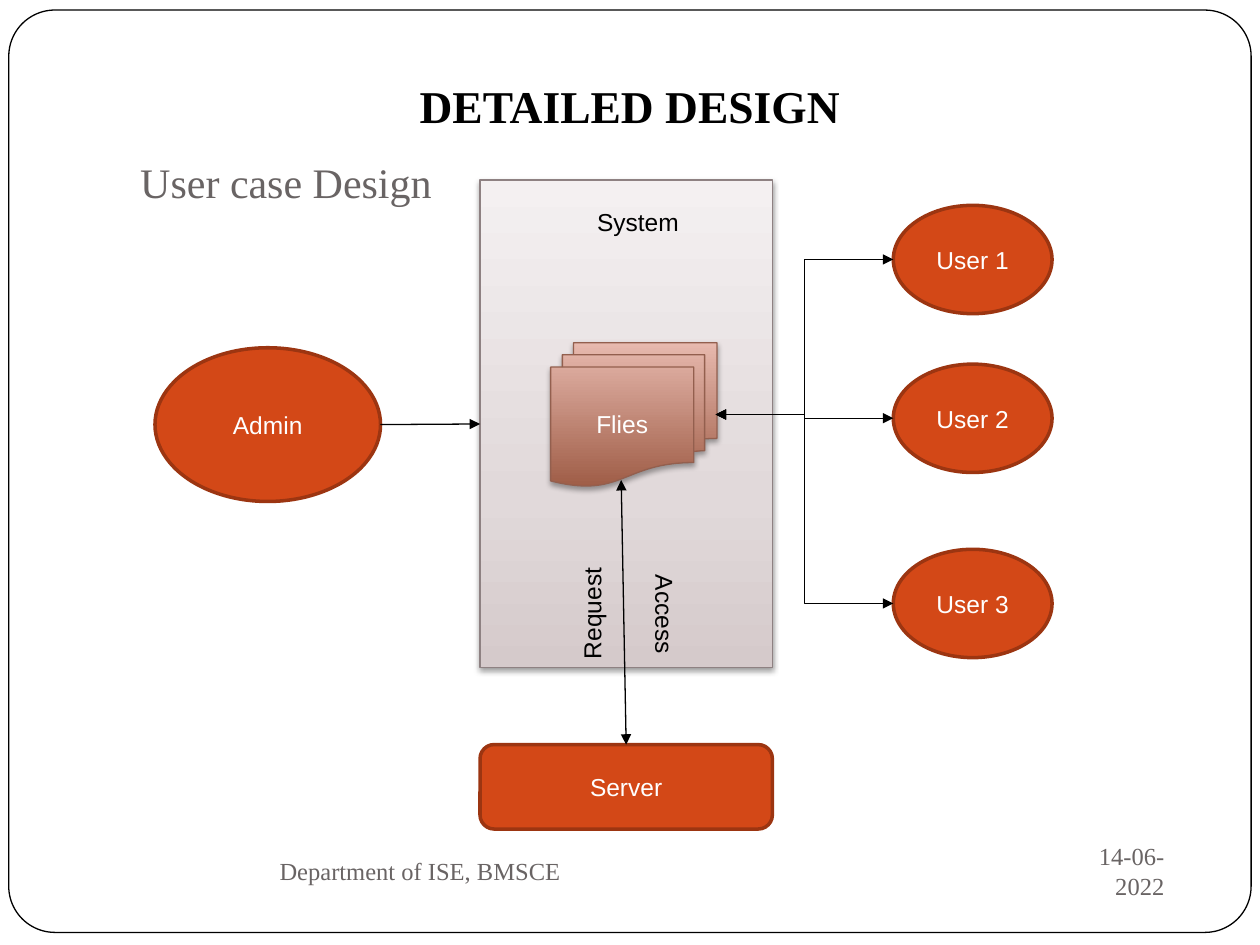
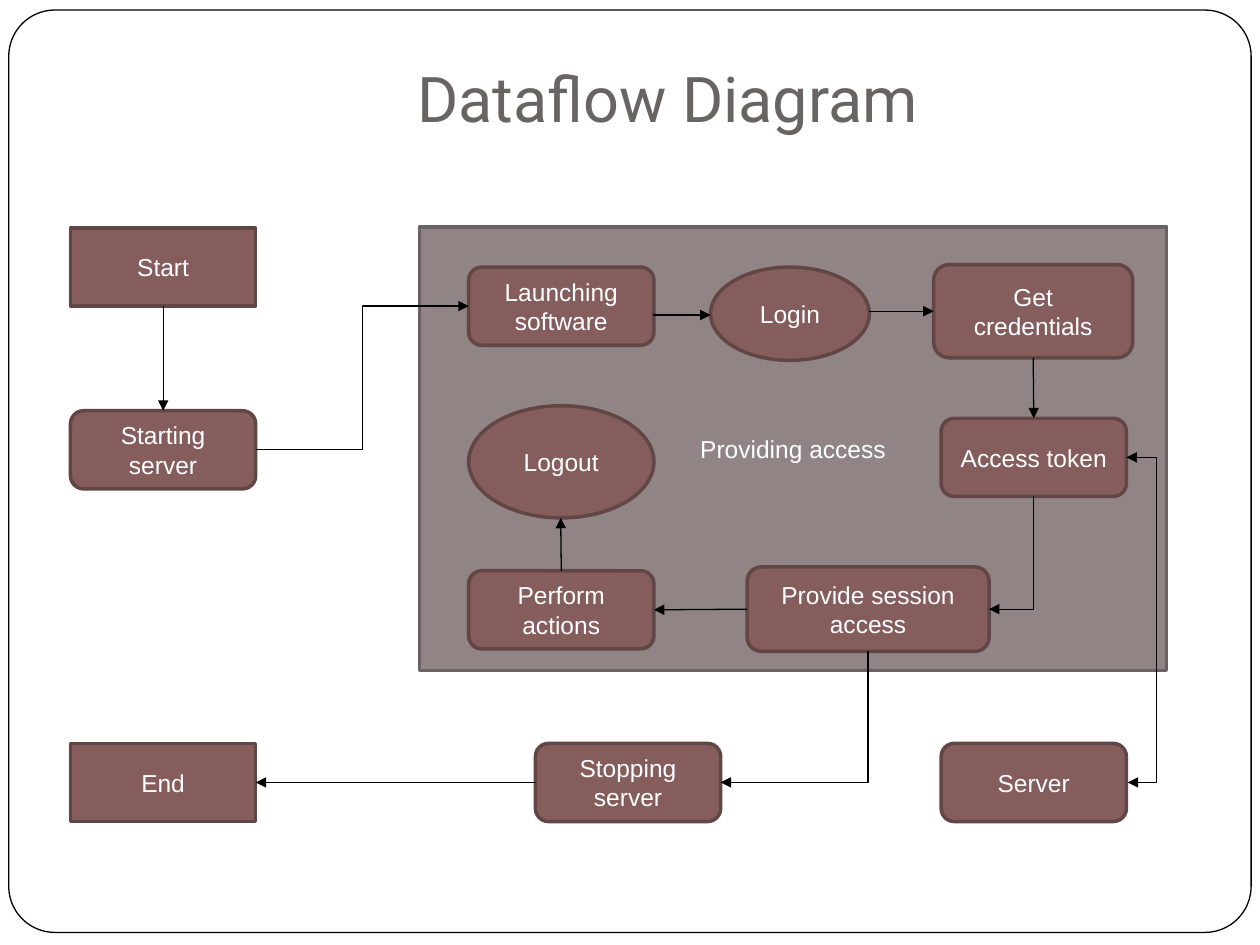
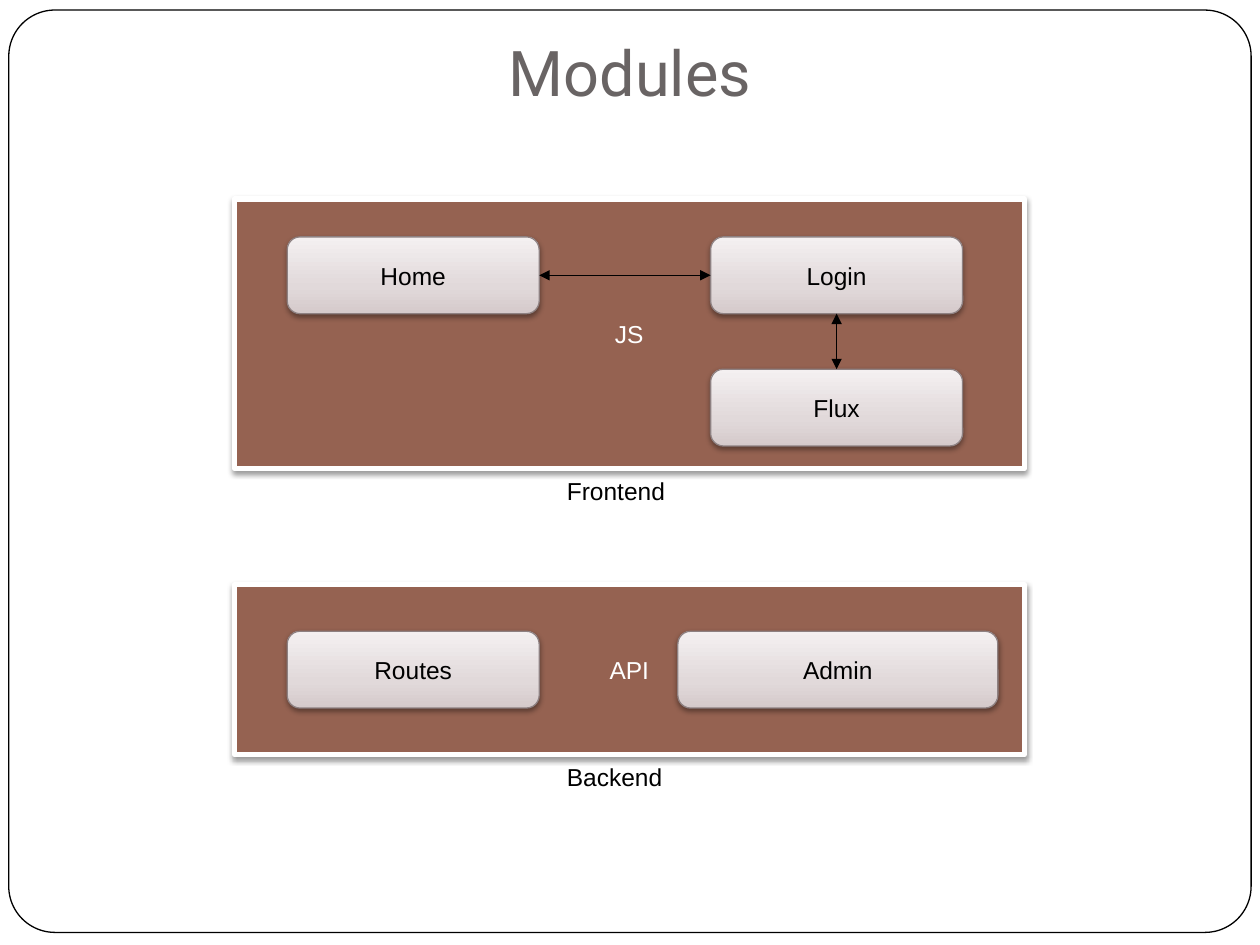
from copy import deepcopy
from pptx import Presentation
from pptx.dml.color import RGBColor
from pptx.enum.shapes import MSO_CONNECTOR, MSO_SHAPE
from pptx.enum.text import MSO_ANCHOR, PP_ALIGN
from pptx.oxml import parse_xml
from pptx.oxml.ns import nsdecls, qn
from pptx.util import Inches, Pt

RECTANGLE = MSO_SHAPE.RECTANGLE
ROUNDED = MSO_SHAPE.ROUNDED_RECTANGLE
ELLIPSE = MSO_SHAPE.OVAL
DOCUMENTS = MSO_SHAPE.FLOWCHART_MULTIDOCUMENT
STRAIGHT = MSO_CONNECTOR.STRAIGHT
ELBOW = MSO_CONNECTOR.ELBOW
LEFT, CENTER, RIGHT = PP_ALIGN.LEFT, PP_ALIGN.CENTER, PP_ALIGN.RIGHT
TOP_ANCHOR, MIDDLE_ANCHOR = MSO_ANCHOR.TOP, MSO_ANCHOR.MIDDLE
TOP_SIDE, LEFT_SIDE, BOTTOM_SIDE, RIGHT_SIDE = range(4)

BLACK = RGBColor(0x00, 0x00, 0x00)
WHITE = RGBColor(0xFF, 0xFF, 0xFF)
GRAY = RGBColor(0x69, 0x64, 0x64)
ORANGE = RGBColor(0xD3, 0x48, 0x17)
DARK_ORANGE = RGBColor(0x9C, 0x35, 0x11)
MAUVE = RGBColor(0x85, 0x5D, 0x5D)
DARK_MAUVE = RGBColor(0x62, 0x45, 0x45)
PANEL = RGBColor(0x91, 0x84, 0x85)
PANEL_EDGE = RGBColor(0x6B, 0x62, 0x62)
BROWN = RGBColor(0x95, 0x62, 0x51)
PALE_EDGE = RGBColor(0x8E, 0x81, 0x82)
FILES_EDGE = RGBColor(0x93, 0x5F, 0x4E)
PALE_GRADIENT = [(0, RGBColor(0xD5, 0xCA, 0xCB)), (0.35, RGBColor(0xE1, 0xD9, 0xDA)),
                 (1, RGBColor(0xF4, 0xF0, 0xF1))]
FILES_GRADIENT = [(0, RGBColor(0x9F, 0x5D, 0x47)), (1, RGBColor(0xE7, 0xB9, 0xAE))]

SANS, SERIF, DISPLAY = "Arial", "Times New Roman", "Roboto"

presentation = Presentation()
presentation.slide_width = Inches(10)
presentation.slide_height = Inches(7.5)
COLUMN = presentation.slide_width / 10
ROW = presentation.slide_height / 7.5


def add_box(slide, text, left, top, width, height, *, kind=None, fill=None, line=None,
            line_width=2, shadow=None, size=14, font=SANS, color=WHITE, bold=False,
            align=CENTER, anchor=MIDDLE_ANCHOR, inset=0.05, rotation=0):
    frame = (round(left * COLUMN), round(top * ROW), round(width * COLUMN), round(height * ROW))
    if kind is None:
        shape = slide.shapes.add_textbox(*frame)
    else:
        shape = slide.shapes.add_shape(kind, *frame)
        shape.shadow.inherit = False
        shape.line.color.rgb = line
        shape.line.width = Pt(line_width)
        if isinstance(fill, list):
            shape.fill.gradient()
            shape.fill.gradient_angle = 90
            stop_list = shape.element.spPr.find(".//" + qn("a:gsLst"))
            while len(stop_list) < len(fill):
                stop_list.append(deepcopy(stop_list[-1]))
            for stop, (position, stop_color) in zip(shape.fill.gradient_stops, fill):
                stop.position = position
                stop.color.rgb = stop_color
        else:
            shape.fill.solid()
            shape.fill.fore_color.rgb = fill
    if shadow:
        distance, opacity = shadow
        shape.element.spPr.find(qn("a:effectLst")).append(parse_xml(
            f'<a:outerShdw {nsdecls("a")} blurRad="40000" dist="{distance}" dir="5400000" '
            f'rotWithShape="0"><a:srgbClr val="{BLACK}"><a:alpha val="{opacity * 1000}"/>'
            '</a:srgbClr></a:outerShdw>'))
    shape.rotation = rotation
    if text:
        text_frame = shape.text_frame
        text_frame.word_wrap = True
        text_frame.vertical_anchor = anchor
        text_frame.margin_top = text_frame.margin_bottom = Inches(inset)
        text_frame.text = text
        for paragraph in text_frame.paragraphs:
            paragraph.alignment = align
            paragraph.font.size = Pt(size)
            paragraph.font.name = font
            paragraph.font.bold = bold
            paragraph.font.color.rgb = color
    return shape


def add_arrow(slide, start, end, *, kind=STRAIGHT, heads=("tail",), corner=False, bend=None):
    points = [(0, 0) if hasattr(place[0], "shape_id")
              else (round(place[0] * COLUMN), round(place[1] * ROW)) for place in (start, end)]
    connector = slide.shapes.add_connector(kind, *points[0], *points[1])
    for place, connect in ((start, connector.begin_connect), (end, connector.end_connect)):
        if hasattr(place[0], "shape_id"):
            connect(*place)
    connector.line.color.rgb = BLACK
    connector.line.width = Pt(0.75)
    properties = connector.element.spPr
    for head in heads:
        properties.find(qn("a:ln")).append(
            parse_xml(f'<a:{head}End {nsdecls("a")} type="triangle"/>'))
    properties.append(parse_xml(f'<a:effectLst {nsdecls("a")}/>'))
    geometry = properties.find(qn("a:prstGeom"))
    if corner:
        geometry.set("prst", "bentConnector2")
    if bend:
        geometry.find(qn("a:avLst")).append(
            parse_xml(f'<a:gd {nsdecls("a")} name="adj1" fmla="val {bend * 100000}"/>'))


BOTH = ("head", "tail")
SOFT_SHADOW = (20000, 38)
ORANGE_STYLE = {"fill": ORANGE, "line": DARK_ORANGE}
MAUVE_STYLE = {"fill": MAUVE, "line": DARK_MAUVE}
PALE_STYLE = {"fill": PALE_GRADIENT, "line": PALE_EDGE, "line_width": 0.75,
              "shadow": SOFT_SHADOW, "color": BLACK}
LABEL_STYLE = {"color": BLACK, "align": LEFT, "anchor": TOP_ANCHOR}
TITLE_STYLE = {"size": 36, "font": DISPLAY, "color": GRAY, "anchor": TOP_ANCHOR, "inset": 0.1}
FOOTER_STYLE = {"font": SERIF, "color": GRAY, "inset": 0.1}

slides = []
for _ in range(3):
    slide = presentation.slides.add_slide(presentation.slide_layouts[6])
    border = add_box(slide, "", 0.07, 0.08, 9.86, 7.32, kind=ROUNDED, fill=WHITE,
                     line=BLACK, line_width=0.75)
    border.adjustments[0] = 0.05
    slides.append(slide)
design_slide, dataflow_slide, modules_slide = slides

add_box(design_slide, "DETAILED DESIGN", 0.88, 0.52, 8.24, 0.96,
        **{**TITLE_STYLE, "size": 26, "font": SERIF, "color": BLACK, "bold": True})
add_box(design_slide, "14-06-2022", 8.31, 6.71, 1.03, 0.4, align=RIGHT, **FOOTER_STYLE)
add_box(design_slide, "Department of ISE, BMSCE", 2.12, 6.71, 6.25, 0.4, align=LEFT,
        **FOOTER_STYLE)
system = add_box(design_slide, "", 3.81, 1.43, 2.32, 3.87, kind=RECTANGLE, **PALE_STYLE)
add_box(design_slide, "Flies", 4.37, 2.72, 1.32, 1.14, kind=DOCUMENTS, fill=FILES_GRADIENT,
        line=FILES_EDGE, line_width=0.75, shadow=(23000, 35))
server = add_box(design_slide, "Server", 3.81, 5.91, 2.32, 0.67, kind=ROUNDED, **ORANGE_STYLE)
add_box(design_slide, "Admin", 1.23, 2.76, 1.79, 1.22, kind=ELLIPSE, **ORANGE_STYLE)
add_box(design_slide, "System", 4.64, 1.59, 1.49, 0.4, **LABEL_STYLE)
add_arrow(design_slide, (3.02, 3.37), (system, LEFT_SIDE))
for number, top in enumerate((1.63, 2.89, 4.36), 1):
    add_box(design_slide, f"User {number}", 7.09, top, 1.26, 0.86, kind=ELLIPSE, **ORANGE_STYLE)
    add_arrow(design_slide, (7.09, top + 0.43), (5.68, 3.29), kind=ELBOW, heads=BOTH)
add_arrow(design_slide, (4.93, 3.81), (server, TOP_SIDE), heads=BOTH)
add_box(design_slide, "Request", 4.19, 4.59, 1.08, 0.4, rotation=270, **LABEL_STYLE)
add_box(design_slide, "Access", 4.35, 5.16, 1.79, 0.4, rotation=90, **LABEL_STYLE)
add_box(design_slide, "User case Design", 0.39, 1.14, 3.76, 0.99,
        **{**TITLE_STYLE, "size": 24, "font": SERIF})

FIRST, SECOND, THIRD = 0.56, 3.72, 7.47
STEP_WIDTH, STEP_HEIGHT = 1.47, 0.62
BOTTOM_ROW = 5.9
add_box(dataflow_slide, "Providing access", 3.33, 1.8, 5.93, 3.52, kind=RECTANGLE,
        fill=PANEL, line=PANEL_EDGE)
steps = {}
for name, text, kind, left, top, width, height in (
        ("starting", "Starting server", ROUNDED, FIRST, 3.26, STEP_WIDTH, STEP_HEIGHT),
        ("launching", "Launching\nsoftware", ROUNDED, SECOND, 2.12, STEP_WIDTH, STEP_HEIGHT),
        ("credentials", "Get credentials", ROUNDED, 7.41, 2.1, 1.58, 0.74),
        ("token", "Access token", ROUNDED, THIRD, 3.32, STEP_WIDTH, STEP_HEIGHT),
        ("actions", "Perform\nactions", ROUNDED, SECOND, 4.53, STEP_WIDTH, STEP_HEIGHT),
        ("session", "Provide session access", ROUNDED, 5.93, 4.5, 1.92, 0.67),
        ("logout", "Logout", ELLIPSE, SECOND, 3.22, STEP_WIDTH, 0.89),
        ("login", "Login", ELLIPSE, 5.64, 2.12, 1.26, 0.74),
        ("server", "Server", ROUNDED, THIRD, BOTTOM_ROW, STEP_WIDTH, STEP_HEIGHT),
        ("stopping", "Stopping server", ROUNDED, 4.25, BOTTOM_ROW, STEP_WIDTH, STEP_HEIGHT),
        ("start", "Start", RECTANGLE, FIRST, 1.81, STEP_WIDTH, STEP_HEIGHT),
        ("end", "End", RECTANGLE, FIRST, BOTTOM_ROW, STEP_WIDTH, STEP_HEIGHT)):
    steps[name] = add_box(dataflow_slide, text, left, top, width, height, kind=kind,
                          **MAUVE_STYLE)
for start, end in (
        ((steps["start"], BOTTOM_SIDE), (steps["starting"], TOP_SIDE)),
        ((5.18, 2.5), (5.64, 2.5)),
        ((6.9, 2.47), (steps["credentials"], LEFT_SIDE)),
        ((steps["credentials"], BOTTOM_SIDE), (steps["token"], TOP_SIDE)),
        ((steps["session"], LEFT_SIDE), (steps["actions"], RIGHT_SIDE)),
        ((steps["actions"], TOP_SIDE), (4.45, 4.11)),
        ((steps["stopping"], LEFT_SIDE), (steps["end"], RIGHT_SIDE))):
    add_arrow(dataflow_slide, start, end)
add_arrow(dataflow_slide, (steps["starting"], RIGHT_SIDE), (steps["launching"], LEFT_SIDE),
          kind=ELBOW)
add_arrow(dataflow_slide, (steps["token"], RIGHT_SIDE), (8.95, 6.21), kind=ELBOW,
          heads=BOTH, bend=24)
for target, source in (("session", "token"), ("stopping", "session")):
    add_arrow(dataflow_slide, (steps[target], RIGHT_SIDE), (steps[source], BOTTOM_SIDE),
              kind=ELBOW, heads=("head",), corner=True)
add_box(dataflow_slide, "Dataflow Diagram", 1.18, 0.37, 8.24, 0.96, **TITLE_STYLE)

for text, label, top, height in (("API", "Backend", 4.64, 1.35), ("JS", "Frontend", 1.58, 2.14)):
    add_box(modules_slide, text, 1.86, top, 6.27, height, kind=RECTANGLE, fill=BROWN,
            line=WHITE, line_width=3, shadow=SOFT_SHADOW)
    add_box(modules_slide, label, 4.4, top + height + 0.01, 1.95, 0.4, **LABEL_STYLE)
modules = {}
for text, left, top, width in (
        ("Routes", 2.28, 5.01, 2), ("Admin", 5.38, 5.01, 2.54), ("Home", 2.28, 1.88, 2),
        ("Login", 5.64, 1.88, 2), ("Flux", 5.64, 2.93, 2)):
    modules[text] = add_box(modules_slide, text, left, top, width, 0.61, kind=ROUNDED,
                            **PALE_STYLE)
add_box(modules_slide, "Modules", 0.88, 0.17, 8.24, 0.96, **TITLE_STYLE)
add_arrow(modules_slide, (modules["Home"], RIGHT_SIDE), (modules["Login"], LEFT_SIDE), heads=BOTH)
add_arrow(modules_slide, (modules["Login"], BOTTOM_SIDE), (modules["Flux"], TOP_SIDE), heads=BOTH)

presentation.save("out.pptx")
